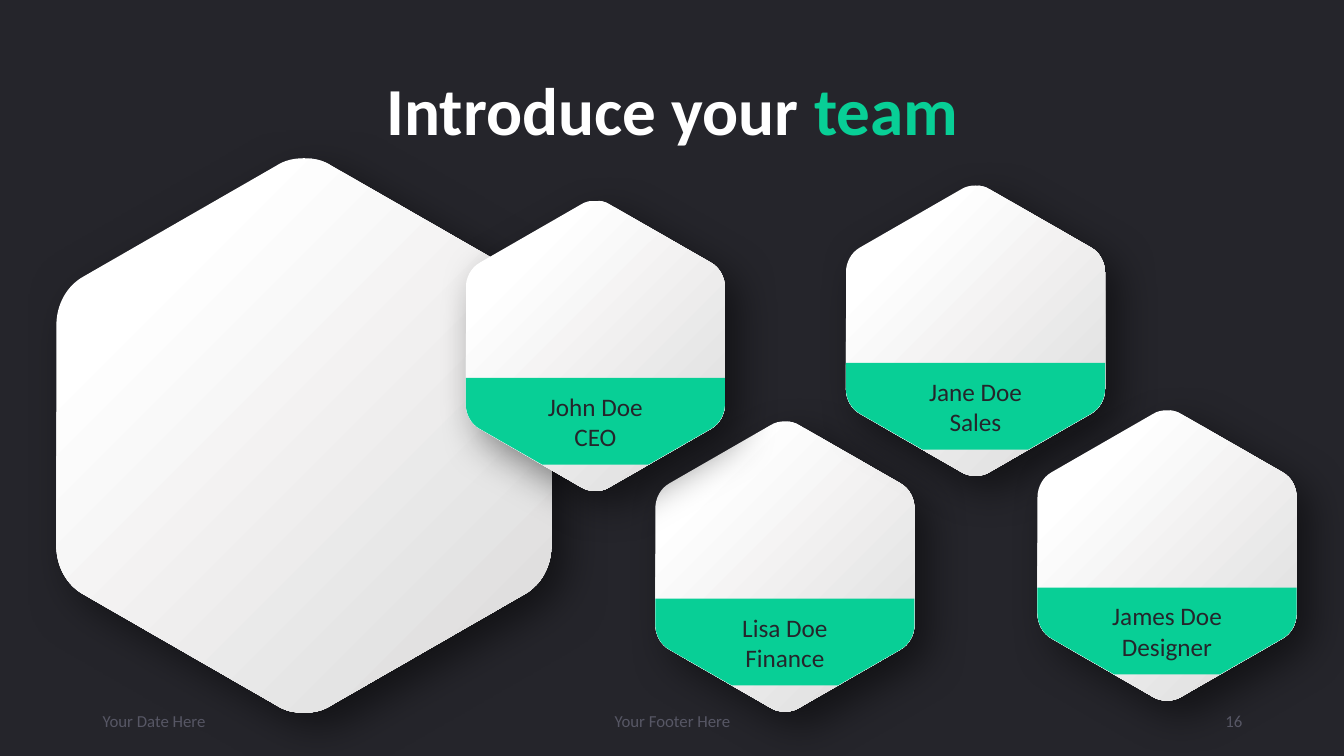
from lxml import etree
from pptx import Presentation
from pptx import util as u
from pptx.dml.color import RGBColor
from pptx.enum import text
from pptx.oxml import ns

COLORS = {
    "background": "25252B",
    "title": "FFFFFF",
    "accent": "08CF96",
    "name": "25252B",
    "footer": "575765",
    "light": "FFFFFF",
    "shade": "DAD9D9",
    "shadow": "000000",
}
FONT = "Calibri"
HALF_WIDTH, HEIGHT = 1.285, 2.88
BAND_TOP, BAND_BOTTOM, BAND_BOTTOM_HALF = 1.76, 2.62, 0.525
TOP_CORNER = [(0, 0), (0.05, 0), (0.1, 0.01), (0.145, 0.04)]
SIDE_CORNER = [(1.145, 0.615), (1.235, 0.665), (1.285, 0.765), (1.285, 0.865)]
ALIGN = text.PP_ALIGN

TEAM = [
    ("Lisa Doe", "Finance", 6.5, 4.18),
    ("Jane Doe", "Sales", 8.39, 1.84),
    ("James Doe", "Designer", 10.29, 4.07),
]
LEADER = ("John Doe", "CEO", 4.62, 1.99)
FOOTERS = [
    ("Your Date Here", 0.92, 3, ALIGN.LEFT),
    ("Your Footer Here", 4.42, 4.5, ALIGN.CENTER),
    ("16", 9.42, 3, ALIGN.RIGHT),
]


def color(name):
    return RGBColor.from_string(COLORS[name])


def set_format(target, values):
    for name, value in values.items():
        setattr(target, name, value)


def add_run(paragraph, words, size, color_name, bold=False):
    run = paragraph.add_run()
    run.text = words
    set_format(run.font, {"name": FONT, "size": u.Pt(size), "bold": bold})
    run.font.color.rgb = color(color_name)


def flip_down(corner):
    return [(x, HEIGHT - y) for x, y in reversed(corner)]


def flip_left(corner):
    return [(-x, y) for x, y in reversed(corner)]


HEXAGON_HALF = [TOP_CORNER, SIDE_CORNER, flip_down(SIDE_CORNER), flip_down(TOP_CORNER)]
BAND_HALF = [
    [(HALF_WIDTH, BAND_TOP)],
    flip_down(SIDE_CORNER),
    [(BAND_BOTTOM_HALF, BAND_BOTTOM)],
]


def outline_steps(half):
    steps = []
    for corner in half + [flip_left(corner) for corner in reversed(half)]:
        if not steps or steps[-1][-1] != corner[0]:
            steps.append(corner[:1])
        if len(corner) > 1:
            steps.append(corner[1:])
    return steps


def bend(shape, line, controls):
    curve = etree.Element(ns.qn("a:cubicBezTo"))
    for x, y in controls:
        etree.SubElement(
            curve, ns.qn("a:pt"), x=str(x - shape.left), y=str(y - shape.top))
    line.getparent().replace(line, curve)


def add_outline(slide, half, left, top, scale=1):
    steps = [
        [(u.Inches(left + (HALF_WIDTH + x) * scale), u.Inches(top + y * scale))
         for x, y in step]
        for step in outline_steps(half)
    ]
    builder = slide.shapes.build_freeform(*steps[0][0])
    builder.add_line_segments([step[-1] for step in steps[1:]], close=True)
    shape = builder.convert_to_shape()
    lines = list(shape._element.iter(ns.qn("a:lnTo")))
    for line, step in zip(lines, steps[1:]):
        if len(step) > 1:
            bend(shape, line, step)
    shape.line.fill.background()
    shape.shadow.inherit = False
    return shape


def add_shadow(shape):
    effects = shape._element.spPr.find(ns.qn("a:effectLst"))
    shadow = etree.SubElement(
        effects, ns.qn("a:outerShdw"),
        blurRad=str(u.Pt(30)), dist=str(u.Pt(14)), dir="2700000",
        algn="tl", rotWithShape="0",
    )
    shade = etree.SubElement(shadow, ns.qn("a:srgbClr"), val=COLORS["shadow"])
    etree.SubElement(shade, ns.qn("a:alpha"), val="50000")


def add_hexagon(slide, left, top, scale=1):
    shape = add_outline(slide, HEXAGON_HALF, left, top, scale)
    shape.fill.gradient()
    shape.fill.gradient_angle = 315
    stops = zip(shape.fill.gradient_stops, (0.2, 1), ("light", "shade"))
    for stop, position, color_name in stops:
        stop.position = position
        stop.color.rgb = color(color_name)
    add_shadow(shape)


def add_member(slide, name, role, left, top):
    add_hexagon(slide, left, top)
    band = add_outline(slide, BAND_HALF, left, top)
    band.fill.solid()
    band.fill.fore_color.rgb = color("accent")
    frame = band.text_frame
    set_format(frame, {"word_wrap": True, "vertical_anchor": text.MSO_ANCHOR.MIDDLE})
    for paragraph, words in zip((frame.paragraphs[0], frame.add_paragraph()), (name, role)):
        paragraph.alignment = ALIGN.CENTER
        add_run(paragraph, words, 18, "name")


def add_title(slide):
    title = slide.shapes.title
    set_format(title, {
        "left": u.Inches(0.92), "top": u.Inches(0.4),
        "width": u.Inches(11.5), "height": u.Inches(1.45),
    })
    title.text_frame.vertical_anchor = text.MSO_ANCHOR.MIDDLE
    paragraph = title.text_frame.paragraphs[0]
    set_format(paragraph, {"alignment": ALIGN.CENTER, "line_spacing": 0.9})
    add_run(paragraph, "Introduce your ", 48, "title", True)
    add_run(paragraph, "team", 48, "accent", True)


def add_footer(slide, words, left, width, alignment):
    box = slide.shapes.add_textbox(
        u.Inches(left), u.Inches(6.95), u.Inches(width), u.Inches(0.4))
    frame = box.text_frame
    set_format(frame, {"word_wrap": True, "vertical_anchor": text.MSO_ANCHOR.MIDDLE})
    frame.paragraphs[0].alignment = alignment
    add_run(frame.paragraphs[0], words, 12, "footer")


def main():
    presentation = Presentation()
    set_format(presentation, {
        "slide_width": u.Inches(13.33), "slide_height": u.Inches(7.5)})
    slide = presentation.slides.add_slide(presentation.slide_layouts[5])
    slide.background.fill.solid()
    slide.background.fill.fore_color.rgb = color("background")
    add_title(slide)
    for member in TEAM:
        add_member(slide, *member)
    for footer in FOOTERS:
        add_footer(slide, *footer)
    add_hexagon(slide, 0.56, 1.57, 1.91)
    add_member(slide, *LEADER)
    presentation.save("out.pptx")


main()
